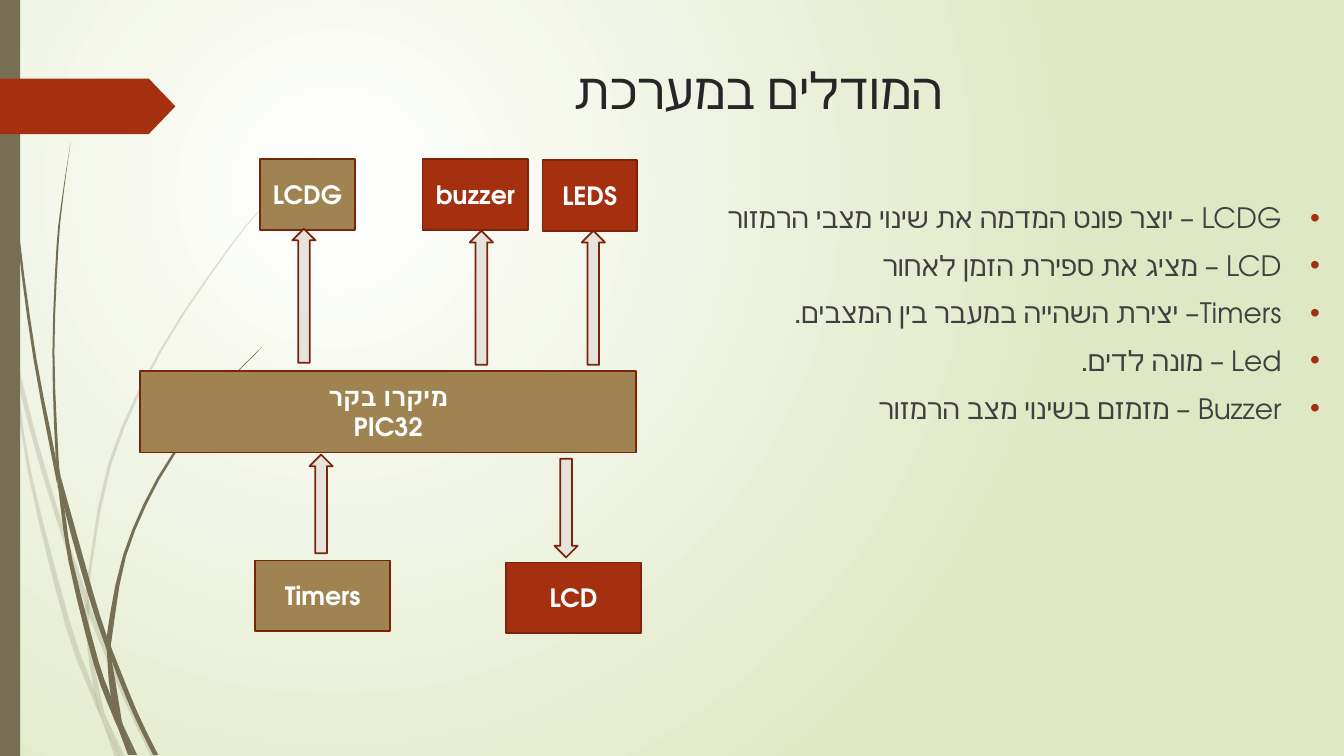
from typing import NamedTuple

from pptx import Presentation
from pptx.dml.color import RGBColor
from pptx.enum import shapes, text
from pptx.oxml import parse_xml
from pptx.oxml.ns import nsdecls, qn
from pptx.util import Inches, Pt

Point = tuple[float, float]
rgb = RGBColor.from_string
Kind, Align, Anchor = shapes.MSO_SHAPE, text.PP_ALIGN, text.MSO_ANCHOR


class Theme(NamedTuple):
    """Colours, font and type sizes of the slide."""
    font: str = "TeX Gyre Adventor"
    stem: str = "766F54"
    red: str = "A53010"
    tan: str = "9F8351"
    arrow: str = "E5E3DB"
    outline: str = "7A240C"
    white: str = "FFFFFF"
    green: str = "DFE8C4"
    title: str = "262626"
    body: str = "404040"
    title_size: int = 36
    body_size: int = 20
    box_size: int = 18


THEME = Theme()


class Block(NamedTuple):
    """A box or block arrow of the diagram, in inches."""
    left: float
    top: float
    width: float
    height: float
    color: str = THEME.arrow
    label: str = ""
    kind: Kind = Kind.RECTANGLE


class Blade(NamedTuple):
    """A piece of grass between two edges, both listed downwards."""
    left: list[Point]
    right: list[Point]


TITLE = "המודלים במערכת"
MODULES = [
    "LCDG – יוצר פונט המדמה את שינוי מצבי הרמזור",
    "LCD – מציג את ספירת הזמן לאחור",
    "Timers– יצירת השהייה במעבר בין המצבים.",
    "Led – מונה לדים.",
    "Buzzer – מזמזם בשינוי מצב הרמזור",
]
BLOCKS = [
    Block(1.39, 3.68, 4.92, 0.81, THEME.tan, "מיקרו בקר\nPIC32"),
    Block(2.58, 1.58, 0.94, 0.7, THEME.tan, "LCDG"),
    Block(5.38, 1.59, 0.94, 0.7, THEME.red, "LEDS"),
    Block(2.53, 5.56, 1.34, 0.7, THEME.tan, "Timers"),
    Block(5.02, 5.58, 1.34, 0.7, THEME.red, "LCD"),
    Block(4.19, 1.58, 1.05, 0.7, THEME.red, "buzzer"),
    *(Block(left, top, 0.23, height, kind=Kind.UP_ARROW) for left, top, height in
      [(5.77, 2.29, 1.33), (3.07, 4.51, 0.98), (2.9, 2.27, 1.33), (4.66, 2.29, 1.33)]),
    Block(5.5, 4.55, 0.23, 0.98, kind=Kind.DOWN_ARROW),
]
PALE_GRASS = [
    Blade([(0, 2.99), (0.1, 3.44), (0.11, 3.5)], [(0, 2.82), (0.09, 3.22), (0.11, 3.5)]),
    Blade([(0.14, 3.45), (0.17, 3.76), (0.36, 4.5), (0.58, 5.22), (0.84, 5.99)],
          [(0.14, 3.45), (0.36, 4.33), (0.62, 5.2), (0.85, 5.86)]),
    Blade([(0.88, 5.96), (0.88, 6.1), (1.23, 6.94), (1.5, 7.51)], [(0.88, 5.96), (0.92, 6.07), (1.27, 6.92), (1.55, 7.51)]),
    Blade([(1.05, 7.11), (1.19, 7.51)], [(1.05, 7.11), (1.24, 7.51)]),
    Blade([(0.11, 3.5), (0.28, 4.7), (0.65, 6.21), (0.92, 6.93), (1.01, 7.14)],
          [(0.11, 3.5), (0.17, 3.76), (0.31, 4.69), (0.7, 6.19), (0.93, 6.83), (1.01, 7.14)]),
    Blade([(0.84, 5.99), (0.87, 6.46), (0.93, 6.83), (0.96, 6.92), (1.05, 7.11)],
          [(0.84, 5.99), (0.88, 6.1), (0.91, 6.46), (1.03, 7.06), (1.05, 7.11)]),
    Blade([(3.12, 1.53), (2.68, 1.97), (2.28, 2.44), (1.58, 3.48), (1.07, 4.61), (0.85, 5.86)],
          [(3.12, 1.54), (2.68, 1.98), (2.29, 2.45), (1.6, 3.49), (1.1, 4.62), (0.88, 5.84), (0.88, 5.96)]),
    Blade([(1.01, 7.14), (1.14, 7.51)], [(1.01, 7.14), (1.19, 7.51)]),
    Blade([(0.85, 5.86), (0.84, 5.99), (0.88, 6.1)], [(0.85, 5.86), (0.88, 5.96), (0.88, 6.1)]),
    Blade([(0.93, 6.83), (1.01, 7.14), (1.19, 7.51)], [(0.93, 6.83), (0.96, 6.92), (1.05, 7.11), (1.19, 7.51)]),
]
DARK_GRASS = [
    Blade([(0.03, 0), (0.04, 0.48), (0.07, 1.1), (0.17, 2.33), (0.33, 3.55), (0.56, 4.77), (0.57, 4.81)],
          [(0.04, 0), (0.05, 0.48), (0.08, 1.09), (0.19, 2.32), (0.36, 3.55), (0.55, 4.53), (0.57, 4.81)]),
    Blade([(0.6, 4.72), (0.64, 5.05), (0.88, 5.92), (1.06, 6.45)], [(0.6, 4.72), (0.93, 5.9), (1.06, 6.31)]),
    Blade([(1.1, 6.41), (1.11, 6.56), (1.32, 7.08), (1.52, 7.49)], [(1.1, 6.41), (1.13, 6.49), (1.36, 7.06), (1.57, 7.49)]),
    Blade([(0.57, 4.77), (0.68, 5.57), (0.93, 6.59), (1.11, 7.08), (1.17, 7.22)],
          [(0.57, 4.77), (0.64, 5.05), (0.72, 5.56), (0.98, 6.57), (1.1, 6.91), (1.17, 7.22)]),
    Blade([(0.7, 1.41), (0.62, 1.93), (0.56, 2.45), (0.52, 3.49), (0.55, 4.49), (0.6, 4.72)],
          [(0.7, 1.41), (0.63, 1.93), (0.58, 2.45), (0.54, 3.49), (0.58, 4.53), (0.6, 4.72)]),
    Blade([(1.22, 7.19), (1.33, 7.49)], [(1.22, 7.19), (1.36, 7.49)]),
    Blade([(0.55, 4.49), (0.57, 4.77), (0.64, 5.05)], [(0.55, 4.49), (0.6, 4.72), (0.64, 5.05)]),
    Blade([(2.6, 3.44), (2.31, 3.73), (2.04, 4.05), (1.56, 4.74), (1.22, 5.51), (1.06, 6.31), (1.1, 6.41)],
          [(2.61, 3.44), (2.31, 3.74), (2.05, 4.06), (1.58, 4.76), (1.25, 5.52), (1.11, 6.33), (1.1, 6.41)]),
    Blade([(1.17, 7.22), (1.27, 7.49)], [(1.17, 7.22), (1.31, 7.49)]),
    Blade([(1.06, 6.45), (1.1, 6.91), (1.22, 7.19)], [(1.06, 6.45), (1.11, 6.56), (1.21, 7.16), (1.22, 7.19)]),
    Blade([(1.06, 6.31), (1.06, 6.45), (1.11, 6.56)], [(1.06, 6.31), (1.1, 6.41), (1.11, 6.56)]),
    Blade([(1.1, 6.91), (1.17, 7.22), (1.3, 7.49)], [(1.1, 6.91), (1.22, 7.19), (1.33, 7.49)]),
]

def apply(target, values: dict) -> None:
    """Set every attribute named in values."""
    for name, value in values.items():
        setattr(target, name, value)

def paint(shape, color: str, outline: str = "") -> None:
    """Give a shape a flat fill, an optional outline and no shadow."""
    shape.shadow.inherit = False
    shape.fill.solid()
    shape.fill.fore_color.rgb = rgb(color)
    shape.line.fill.background()
    if outline:
        shape.line.color.rgb = rgb(outline)
        shape.line.width = Pt(1.25)

def write(shape, words: str, size: int, color: str, alignment, anchor, bold=False, rtl=False) -> None:
    """Fill a shape with one formatted paragraph per line."""
    frame = shape.text_frame
    frame.text = words
    apply(frame, dict(word_wrap=True, auto_size=text.MSO_AUTO_SIZE.NONE, vertical_anchor=anchor))
    for paragraph in frame.paragraphs:
        apply(paragraph, dict(alignment=alignment, space_before=Pt(0)))
        apply(paragraph.font, dict(name=THEME.font, size=Pt(size)))
        if rtl:
            paragraph._p.pPr.set("rtl", "1")
        for run in paragraph.runs:
            apply(run.font, dict(name=THEME.font, size=Pt(size), bold=bold))
            run.font.color.rgb = rgb(color)

def add_bullets(shape) -> None:
    """Give each paragraph a red bullet with a hanging indent."""
    for paragraph in shape.text_frame.paragraphs:
        paragraph.space_before = Pt(10)
        properties = paragraph._p.pPr
        properties.set("marL", str(Inches(0.38)))
        properties.set("indent", str(-Inches(0.38)))
        bullet = (("buClr", "", f'<a:srgbClr val="{THEME.red}"/>'),
                  ("buFont", 'typeface="Arial"', ""), ("buChar", 'char="•"', ""))
        for tag, values, child in bullet:
            element = parse_xml(f'<a:{tag} {nsdecls("a")} {values}>{child}</a:{tag}>')
            properties.find(qn("a:defRPr")).addprevious(element)

def smooth(points: list[Point], steps: int = 3) -> list[Point]:
    """Run a Catmull-Rom curve through the points."""
    if len(points) == 2:
        return points
    padded = [points[0], *points, points[-1]]
    curve = [points[0]]
    for knots in zip(padded, padded[1:], padded[2:], padded[3:]):
        for t in (step / steps for step in range(1, steps + 1)):
            curve.append(tuple((2 * q + (r - p) * t + (2 * p - 5 * q + 4 * r - s) * t ** 2
                                + (3 * q - p - 3 * r + s) * t ** 3) / 2 for p, q, r, s in zip(*knots)))
    return curve

def add_blade(slide, blade: Blade, opacity: int) -> None:
    """Draw one piece of grass."""
    outline = [(Inches(x), Inches(y)) for x, y in smooth(blade.left) + smooth(blade.right)[:0:-1]]
    builder = slide.shapes.build_freeform(*outline[0])
    builder.add_line_segments(outline[1:], close=True)
    shape = builder.convert_to_shape()
    paint(shape, THEME.stem)
    color = shape._element.spPr.find(".//" + qn("a:srgbClr"))
    color.append(parse_xml(f'<a:alpha {nsdecls("a")} val="{opacity * 1000}"/>'))

def add_block(slide, block: Block, outline: str = ""):
    """Draw a preset shape with its label."""
    shape = slide.shapes.add_shape(block.kind, *map(Inches, block[:4]))
    paint(shape, block.color, outline)
    if block.label:
        write(shape, block.label, THEME.box_size, THEME.white, Align.CENTER, Anchor.MIDDLE, bold=True)
    return shape

def set_background(slide) -> None:
    """Lay a round gradient from white to green."""
    fill = slide.background.fill
    fill.gradient()
    for stop, color in zip(fill.gradient_stops, (THEME.white, THEME.green)):
        stop.color.rgb = rgb(color)
    gradient = slide.element.find(".//" + qn("a:gradFill"))
    gradient.replace(gradient.find(qn("a:lin")), parse_xml(
        f'<a:path {nsdecls("a")} path="circle"><a:fillToRect l="50000" t="50000" r="100000" b="100000"/></a:path>'))

presentation = Presentation()
apply(presentation, dict(slide_width=Inches(13.33), slide_height=Inches(7.5)))
slide = presentation.slides.add_slide(presentation.slide_layouts[1])
set_background(slide)
for grass, opacity in ((PALE_GRASS, 20), (DARK_GRASS, 100)):
    for blade in grass:
        add_blade(slide, blade, opacity)
add_block(slide, Block(0, 0, 0.2, 7.5, THEME.stem))
add_block(slide, Block(0, 0.78, 1.74, 0.55, THEME.red, kind=Kind.PENTAGON)).adjustments[0] = 0.48
title, body = slide.placeholders
for shape, bounds in ((title, (5.6, 0.54, 4.22, 1.4)), (body, (6.09, 1.94, 7.1, 3.2))):
    apply(shape, dict(zip(("left", "top", "width", "height"), map(Inches, bounds))))
write(title, TITLE, THEME.title_size, THEME.title, Align.LEFT, Anchor.TOP, rtl=True)
write(body, "\n".join(MODULES), THEME.body_size, THEME.body, Align.RIGHT, Anchor.TOP, rtl=True)
add_bullets(body)
for block in BLOCKS:
    add_block(slide, block, THEME.outline)
presentation.save("out.pptx")
